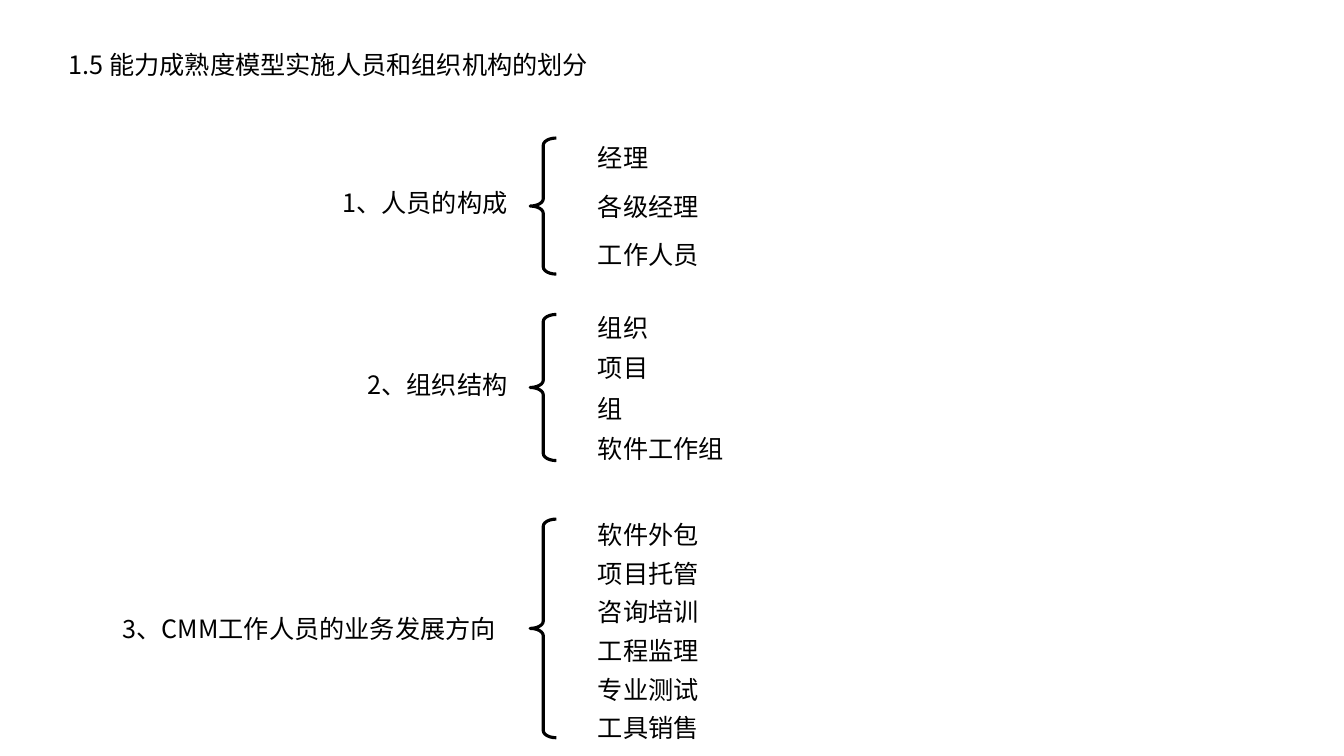
from pptx import Presentation
from pptx.dml.color import RGBColor
from pptx.enum.shapes import MSO_SHAPE
from pptx.enum.text import MSO_AUTO_SIZE
from pptx.util import Pt

FONT = "Noto Sans CJK SC"
INK = "000000"
TEXT_HEIGHT = 29
LABEL_RIGHT = 371.5
BRACE_LEFT, BRACE_WIDTH = 378.7, 18.7
ITEM_LEFT = 420

SECTIONS = [
    dict(label="1、人员的构成", label_width=134, label_top=130.4,
         brace_top=98.6, brace_height=97.2, item_top=97.9, pitch=34.9,
         items=["经理", "各级经理", "工作人员"]),
    dict(label="2、组织结构", label_width=116, label_top=260,
         brace_top=224.6, brace_height=104.4, item_top=219.6, pitch=28.8,
         items=["组织", "项目", "组", "软件工作组"]),
    dict(label="3、CMM工作人员的业务发展方向", label_width=291, label_top=434.2,
         brace_top=370.8, brace_height=156.2, item_top=367.3, pitch=27.66,
         items=["软件外包", "项目托管", "咨询培训", "工程监理", "专业测试", "工具销售"]),
]


def color(value):
    """Turn a hex string into a colour."""
    return RGBColor.from_string(value)


def add_text(page, text, left, top, width, wrap=False):
    """Place one line of body text in a box."""
    box = page.shapes.add_textbox(Pt(left), Pt(top), Pt(width), Pt(TEXT_HEIGHT))
    frame = box.text_frame
    for name, value in dict(word_wrap=wrap, auto_size=MSO_AUTO_SIZE.SHAPE_TO_FIT_TEXT).items():
        setattr(frame, name, value)
    span = frame.paragraphs[0].add_run()
    span.text = text
    for name, value in dict(name=FONT, size=Pt(18)).items():
        setattr(span.font, name, value)
    span.font.color.rgb = color(INK)


def add_brace(page, top, height):
    """Draw the left brace that joins a label to its items."""
    brace = page.shapes.add_shape(MSO_SHAPE.LEFT_BRACE, Pt(BRACE_LEFT), Pt(top),
                                  Pt(BRACE_WIDTH), Pt(height))
    brace.shadow.inherit = False
    brace.adjustments[0] = 0.276
    brace.fill.background()
    brace.line.color.rgb = color(INK)
    brace.line.width = Pt(2.25)


def add_section(page, section):
    """Place a label, its brace and the evenly spaced items."""
    width = section["label_width"]
    add_text(page, section["label"], LABEL_RIGHT - width, section["label_top"], width, wrap=True)
    add_brace(page, section["brace_top"], section["brace_height"])
    for row, item in enumerate(section["items"]):
        top = section["item_top"] + row * section["pitch"]
        add_text(page, item, ITEM_LEFT, top, 18 * len(item) + 15)


def main():
    """Build and save the slide."""
    deck = Presentation()
    deck.slide_width, deck.slide_height = Pt(960), Pt(540)
    page = deck.slides.add_slide(deck.slide_layouts[6])
    add_text(page, "1.5 能力成熟度模型实施人员和组织机构的划分", 42, 32, 391)
    for section in SECTIONS:
        add_section(page, section)
    deck.save("out.pptx")


if __name__ == "__main__":
    main()
